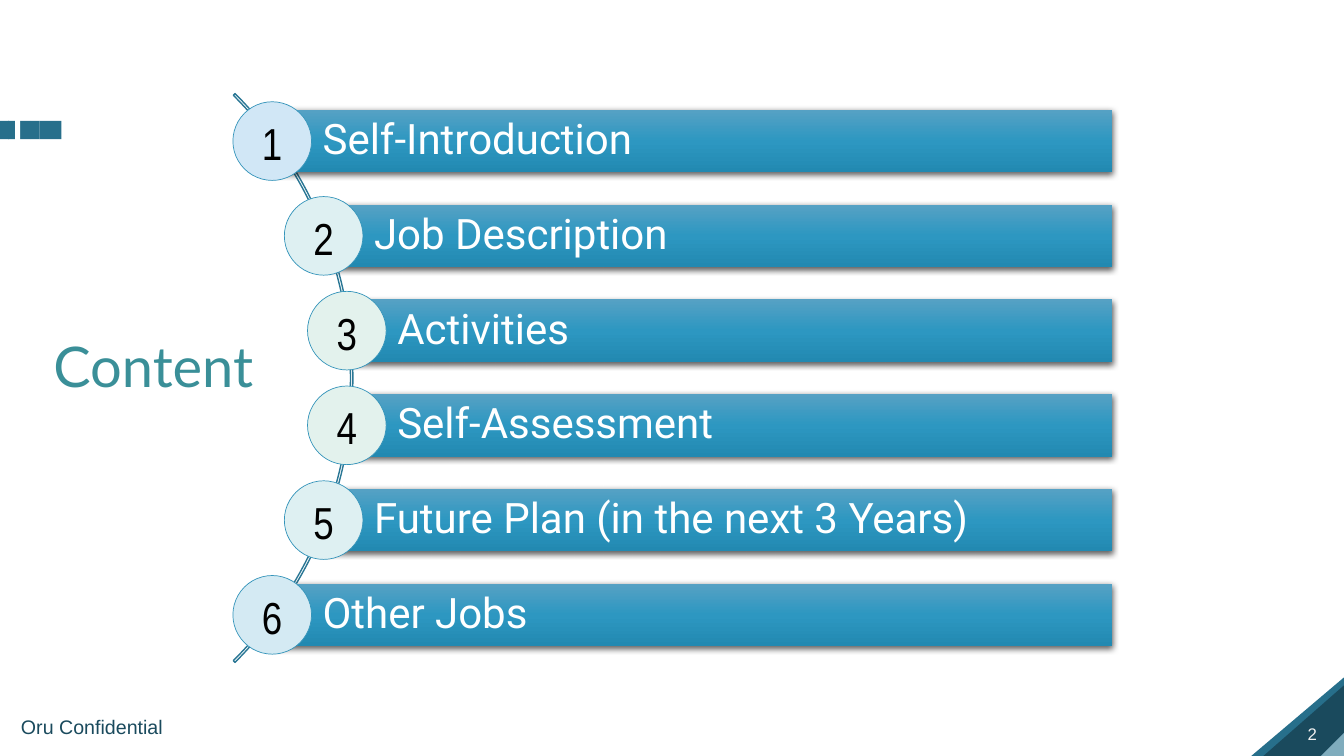
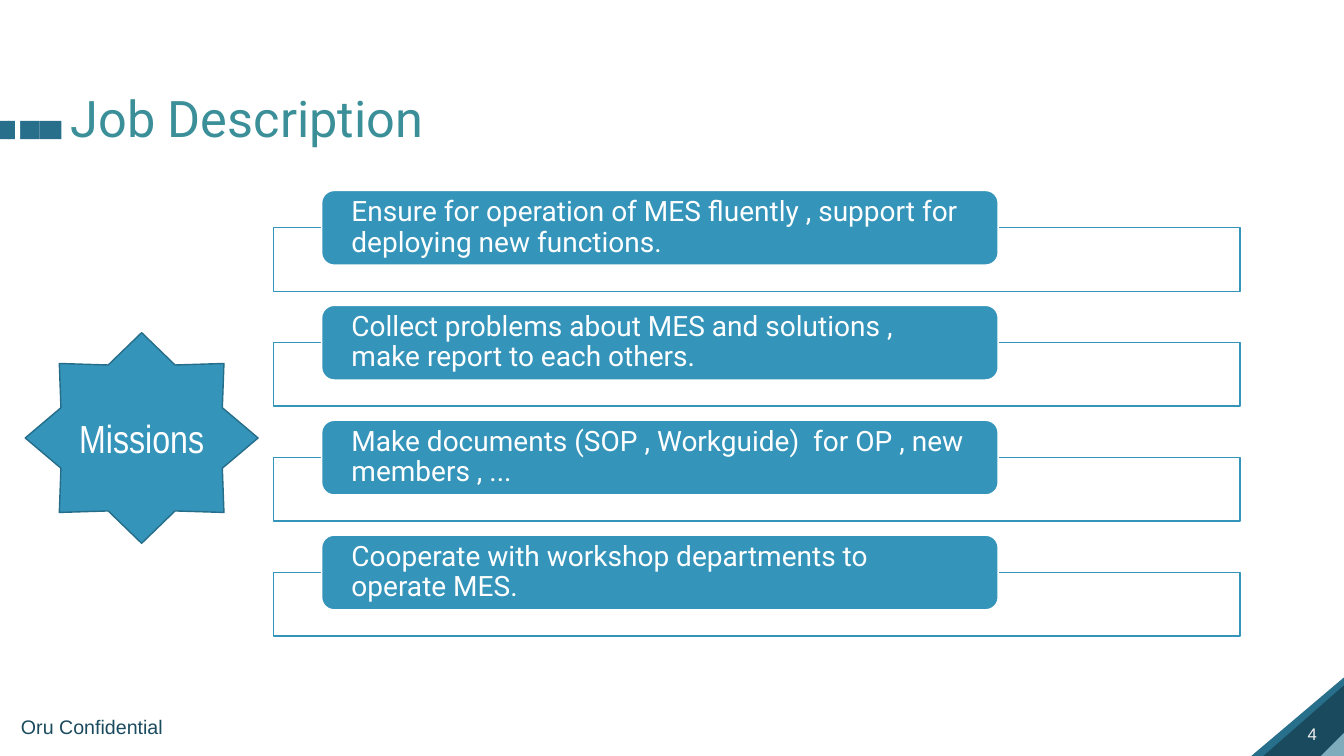
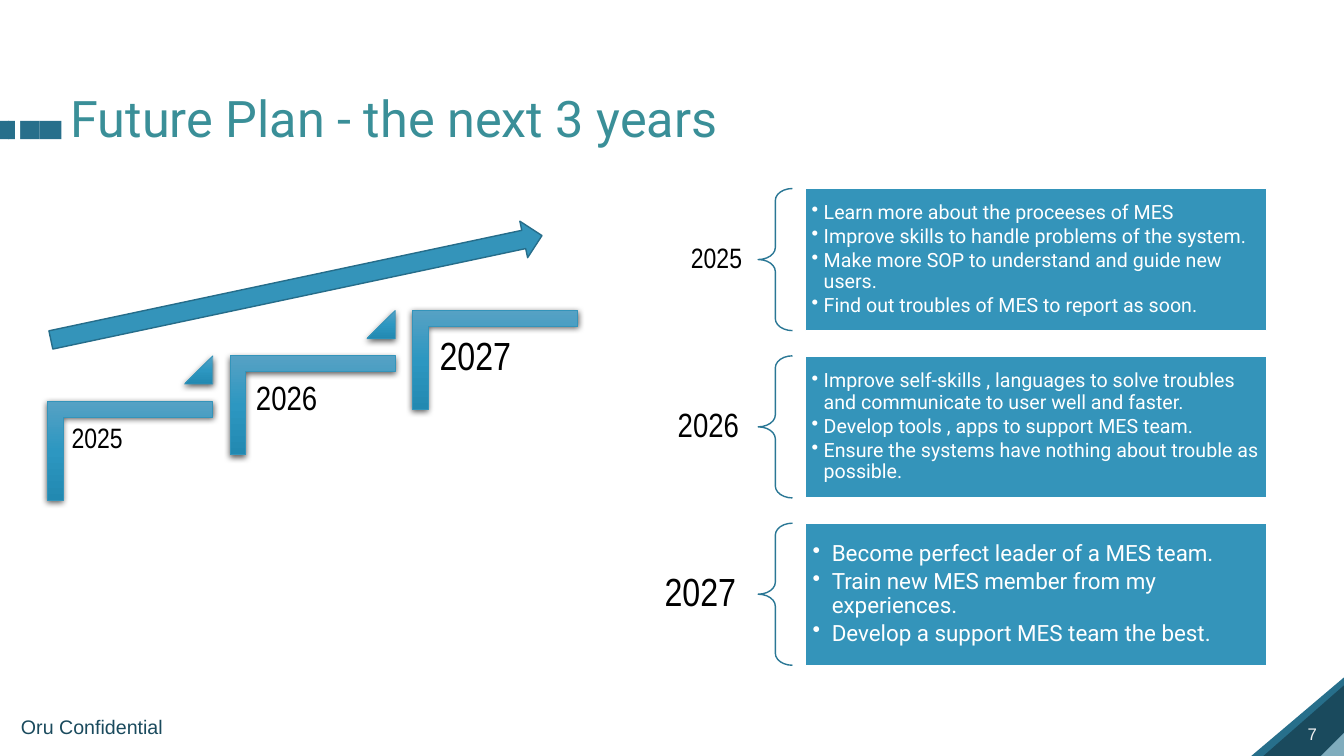
from dataclasses import dataclass
from math import sqrt

from lxml import etree
from pptx import Presentation
from pptx.dml.color import RGBColor
from pptx.enum import shapes, text
from pptx.oxml import ns
from pptx.util import Inches, Pt

KIND = shapes.MSO_SHAPE
ALIGN = text.PP_ALIGN
ANCHOR = text.MSO_ANCHOR


@dataclass(frozen=True)
class Theme:
    # Colours
    white: str = "FFFFFF"
    black: str = "000000"
    pale: str = "F2F2F2"
    teal: str = "3A8F98"
    blue: str = "3494BA"
    edge: str = "266D8A"
    curve: str = "2A7795"
    band: str = "276F8B"
    navy: str = "1A4A5D"
    sky: str = "AAD6E7"
    blend: tuple = ("56A1C4", "2D97C1", "2289B1")
    # Fonts
    head: str = "Lato"
    body: str = "Roboto"
    slim: str = "Arial Narrow"
    base: str = "Arial"
    # Type sizes
    title: int = 36
    cover: int = 40
    digit: int = 32
    topic: int = 30
    badge: int = 28
    task: int = 20
    foot: int = 14
    page: int = 12


T = Theme()


# --- Basic elements ---

def place(box):
    return [Inches(round(n, 2)) for n in box]


def node(parent, tag, **attrs):
    item = etree.SubElement(parent, ns.qn(tag))
    for key, value in attrs.items():
        item.set(key, str(value))
    return item


def draw(slide, kind, box, fill=None, line=None, width=1, turn=0, adjust=()):
    shape = slide.shapes.add_shape(kind, *place(box))
    shape.shadow.inherit = False
    shape.rotation = turn
    for i, value in enumerate(adjust):
        shape.adjustments[i] = value
    if fill:
        shape.fill.solid()
        shape.fill.fore_color.rgb = RGBColor.from_string(fill)
    else:
        shape.fill.background()
    if line:
        shape.line.color.rgb = RGBColor.from_string(line)
        shape.line.width = Pt(width)
    else:
        shape.line.fill.background()
    return shape


def fade(shape, alpha):
    color = shape._element.spPr.find(ns.qn("a:solidFill")).find(ns.qn("a:srgbClr"))
    node(color, "a:alpha", val=alpha * 1000)


def gloss(shape):
    """Give an unfilled shape the vertical blend and a soft shadow."""
    props = shape._element.spPr
    blend = etree.Element(ns.qn("a:gradFill"), rotWithShape="0")
    stops = node(blend, "a:gsLst")
    for i, color in enumerate(T.blend):
        node(node(stops, "a:gs", pos=i * 50000), "a:srgbClr", val=color)
    node(blend, "a:lin", ang=5400000, scaled=0)
    props.replace(props.find(ns.qn("a:noFill")), blend)
    shade = node(props.find(ns.qn("a:effectLst")), "a:outerShdw",
                 blurRad=Pt(4.5), dist=Pt(1.5), dir=5400000,
                 algn="ctr", rotWithShape=0)
    node(node(shade, "a:srgbClr", val=T.black), "a:alpha", val=63000)


def write(shape, lines, size, font, color, align=ALIGN.LEFT,
          anchor=ANCHOR.MIDDLE, inset=(0.1, 0.05, 0.1, 0.05),
          space=0.9, after=0, bullet=0, wrap=True):
    frame = shape.text_frame
    frame.word_wrap = wrap
    frame.auto_size = text.MSO_AUTO_SIZE.NONE
    frame.vertical_anchor = anchor
    (frame.margin_left, frame.margin_top,
     frame.margin_right, frame.margin_bottom) = place(inset)
    for i, line in enumerate(lines):
        para = frame.add_paragraph() if i else frame.paragraphs[0]
        if bullet:
            props = para._p.get_or_add_pPr()
            props.set("marL", str(Inches(bullet)))
            props.set("indent", str(-Inches(bullet)))
            node(props, "a:buChar", char="•")
        para.alignment = align
        para.line_spacing = space
        para.space_before = Pt(0)
        para.space_after = Pt(after)
        run = para.add_run()
        run.text = line
        run.font.size = Pt(size)
        run.font.name = font
        run.font.color.rgb = RGBColor.from_string(color)


def label(slide, box, line, size, font, color, **style):
    write(slide.shapes.add_textbox(*place(box)), [line], size, font, color, **style)


# --- Shared slide parts ---

def corner(slide, number):
    for box, color in (((12.48, 6.65, 0.78, 0.92), T.band),
                       ((12.58, 6.74, 0.71, 0.81), T.navy),
                       ((13.1, 7.27, 0.23, 0.23), T.sky)):
        piece = draw(slide, KIND.RIGHT_TRIANGLE, box, color, turn=270)
    fade(piece, 70)
    label(slide, (12.87, 7.13, 0.44, 0.3), str(number), T.page, T.base, T.pale,
          anchor=ANCHOR.TOP, space=1)


def marks(slide):
    for left, width in ((0, 0.09), (0.08, 0.22), (0.3, 0.09), (0.39, 0.22)):
        draw(slide, KIND.RECTANGLE, (left, 1.2, width, 0.18), T.band)
    draw(slide, KIND.RECTANGLE, (0.15, 1.08, 0.05, 0.51), T.white)


def start(deck, number, title, box, size=T.title, font=T.body):
    slide = deck.slides.add_slide(deck.slide_layouts[5])
    corner(slide, number)
    marks(slide)
    label(slide, (0.11, 7.04, 1.5, 0.34), "Oru Confidential", T.foot, T.base,
          T.navy, anchor=ANCHOR.TOP, space=1, wrap=False)
    head = slide.shapes.title
    head.left, head.top, head.width, head.height = place(box)
    write(head, [title], size, font, T.teal, anchor=ANCHOR.TOP)
    return slide


# --- Content slide ---

def topic(slide, number, name, fill, mid, top):
    tall, size, right = 0.62, 0.78, 11.03
    bar = draw(slide, KIND.RECTANGLE, (mid, top, right - mid, tall))
    gloss(bar)
    write(bar, [name], T.topic, T.body, T.white, inset=(0.5, 0.08, 0.08, 0.08))
    disc = draw(slide, KIND.OVAL,
                (mid - size / 2, top + tall / 2 - size / 2, size, size),
                fill, T.blue, 0.5)
    write(disc, [str(number)], T.digit, T.slim, T.black,
          align=ALIGN.CENTER, inset=(0, 0.03, 0, 0), space=1)


def agenda(deck):
    slide = start(deck, 2, "Content", (0.43, 3.31, 2.29, 0.44), T.cover, T.head)
    hub, reach, pitch = (-0.49, 3.75), 3.96, 0.94
    draw(slide, KIND.BLOCK_ARC, (-4.48, -0.24, 7.98, 7.98), line=T.curve,
         adjust=(189, 27, 0.003))
    topics = (("Self-Introduction", "D1E7F6"),
              ("Job Description", "DEF0F2"),
              ("Activities", "E3F2ED"),
              ("Self-Assessment", "E3F2ED"),
              ("Future Plan (in the next 3 Years)", "DEF0F2"),
              ("Other Jobs", "D4EAF3"))
    for i, (name, fill) in enumerate(topics):
        drop = (i - (len(topics) - 1) / 2) * pitch
        mid = hub[0] + sqrt(reach ** 2 - drop ** 2)
        topic(slide, i + 1, name, fill, mid, hub[1] + drop - 0.31)


# --- Job slide ---

def duty(slide, line, top):
    draw(slide, KIND.RECTANGLE, (2.71, top + 0.37, 9.59, 0.63), T.white, T.blue)
    card = draw(slide, KIND.ROUNDED_RECTANGLE, (3.19, top, 6.71, 0.74),
                T.blue, T.white)
    write(card, [line], T.task, T.body, T.white, inset=(0.26, 0, 0.26, 0))


def job(deck):
    slide = start(deck, 4, "Job Description", (0.6, 0.88, 3.78, 0.6))
    duties = (
        "Ensure for operation of MES fluently , support for deploying new functions.",
        "Collect problems about MES and solutions , make report to each others.",
        "Make documents (SOP , Workguide)  for OP , new members , ...",
        "Cooperate with workshop departments to operate MES.")
    for i, line in enumerate(duties):
        duty(slide, line, 1.89 + i * 1.14)
    star = draw(slide, KIND.STAR_8_POINT, (0.25, 3.3, 2.31, 2.09), T.blue, T.edge)
    write(star, ["Missions"], T.badge, T.slim, T.white,
          align=ALIGN.CENTER, space=1)


# --- Plan slide ---

def stair(slide, year, size, left, top, last):
    step = draw(slide, KIND.HALF_FRAME, (left, top, 0.98, 1.64), line=T.blue,
                width=0.5, turn=90, adjust=(0.161, 0.161))
    # The L preset has no enum member; it takes the same two adjustments
    step._element.spPr.find(ns.qn("a:prstGeom")).set("prst", "corner")
    gloss(step)
    label(slide, (left - 0.17, top + 0.48, 1.48, 1.3), year, size, T.slim,
          T.black, anchor=ANCHOR.TOP, inset=[size * 0.004] * 4)
    if not last:
        wedge = draw(slide, KIND.ISOSCELES_TRIANGLE,
                     (left + 1.03, top - 0.12, 0.28, 0.28),
                     line=T.blue, width=0.5, adjust=(1,))
        gloss(wedge)


def goal(slide, year, size, aims, body, hang, top):
    tall = 1.41
    side, edge = size * 0.008, size * 0.003
    label(slide, (5.84, top, 1.68, tall), year, size, T.slim, T.black,
          align=ALIGN.RIGHT, inset=(side, edge, side, edge))
    draw(slide, KIND.LEFT_BRACE, (7.52, top, 0.34, tall), line=T.curve,
         adjust=(0.35, 0.5))
    card = draw(slide, KIND.RECTANGLE, (7.99, top, 4.57, tall), T.blue, T.white)
    write(card, aims, body, T.body, T.white, inset=[body * 0.0042] * 4,
          after=body * 0.15, bullet=hang)


def plan(deck):
    slide = start(deck, 7, "Future Plan - the next 3 years",
                  (0.6, 0.88, 10.05, 0.6))
    years = (
        ("2025", 20, 14, 0.12, (
            "Learn more about the proceeses of MES",
            "Improve skills to handle problems of the system.",
            "Make more SOP to understand and guide new users.",
            "Find out troubles of MES to report as soon.")),
        ("2026", 24, 14, 0.12, (
            "Improve self-skills , languages to solve troubles and communicate "
            "to user well and faster.",
            "Develop tools , apps to support MES team.",
            "Ensure the systems have nothing about trouble as possible.")),
        ("2027", 28, 16, 0.19, (
            "Become perfect leader of a MES team.",
            "Train new MES member from my experiences.",
            "Develop a support MES team the best.")))
    for i, (year, size, body, hang, aims) in enumerate(years):
        stair(slide, year, size, 0.8 + i * 1.81, 3.65 - i * 0.45,
              i == len(years) - 1)
        goal(slide, year, size, aims, body, hang, 1.87 + i * 1.66)
    draw(slide, KIND.RIGHT_ARROW, (0.45, 2.67, 4.98, 0.37), T.blue, T.edge,
         turn=348)


def main():
    deck = Presentation()
    deck.slide_width, deck.slide_height = Inches(13.33), Inches(7.5)
    agenda(deck)
    job(deck)
    plan(deck)
    deck.save("out.pptx")


if __name__ == "__main__":
    main()
